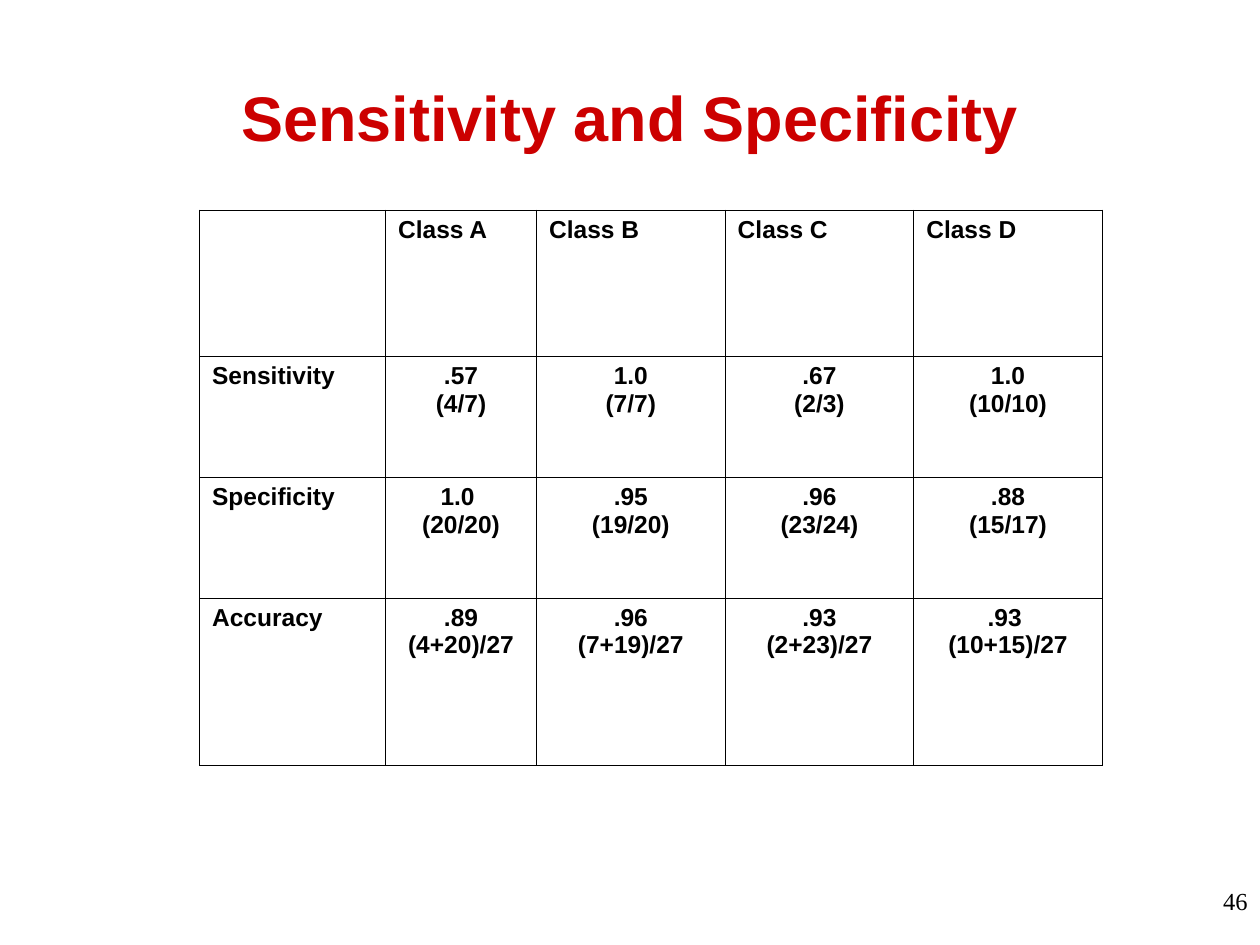
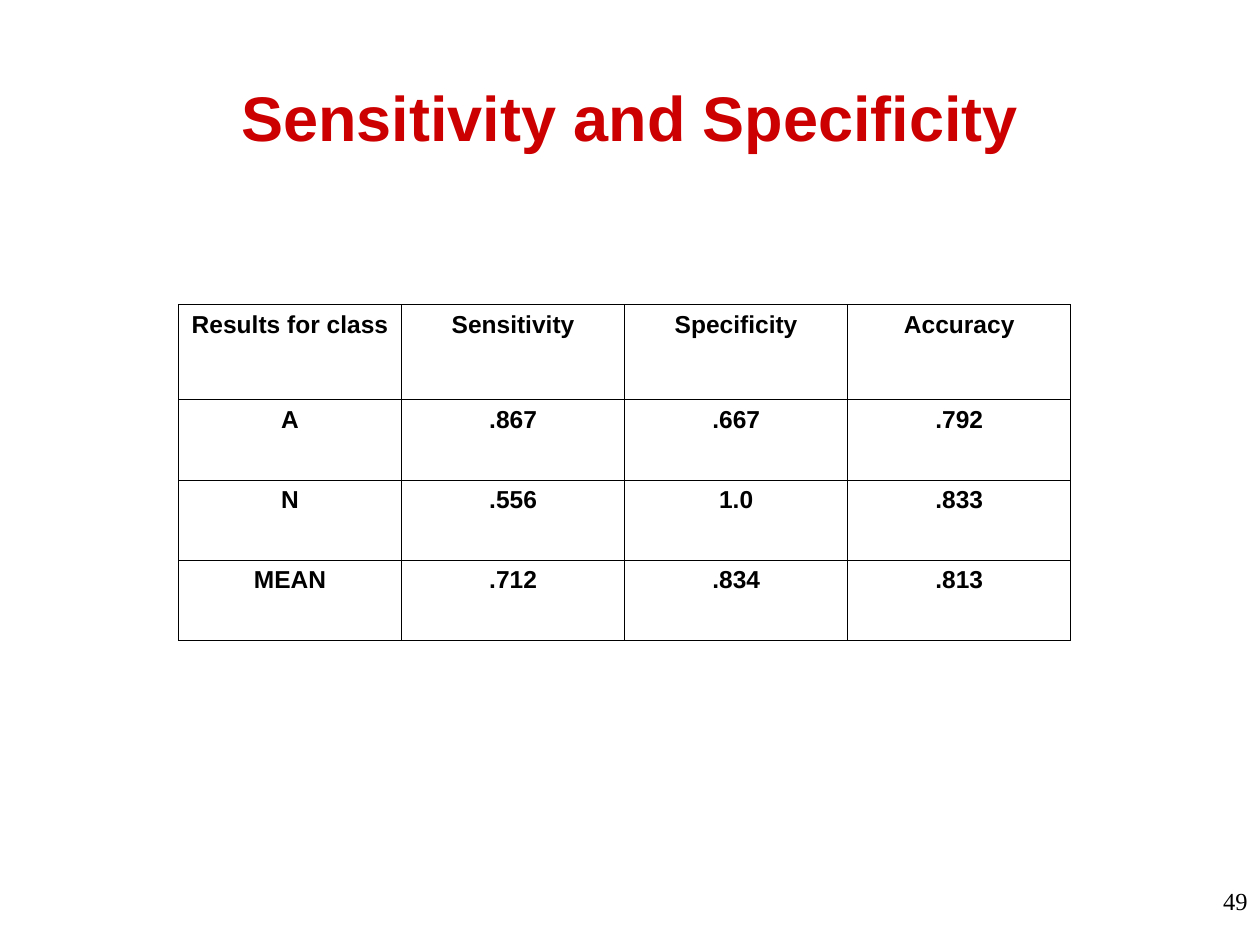
import pptx
import pptx.dml.color
import pptx.enum.text
import pptx.oxml
import pptx.oxml.ns
import pptx.util

Pt = pptx.util.Pt
ALIGN = pptx.enum.text.PP_ALIGN
ANCHOR = pptx.enum.text.MSO_ANCHOR

RED = "CC0000"
BLACK = "000000"
HEADING_FONT = "Arial"
NUMBER_FONT = "Times New Roman"
TABLE_SIZE = 14
BORDER_WIDTH = 0.45

CLASS_ROWS = [
    ["", "Class A", "Class B", "Class C", "Class D"],
    ["Sensitivity", ".57\n(4/7)", "1.0\n(7/7)", ".67\n(2/3)", "1.0\n(10/10)"],
    ["Specificity", "1.0 \n(20/20)", ".95\n(19/20)", ".96\n(23/24)", ".88\n(15/17)"],
    ["Accuracy", ".89 (4+20)/27", ".96\n(7+19)/27", ".93\n(2+23)/27", ".93 \n(10+15)/27"],
]
RESULT_ROWS = [
    ["Results for class", "Sensitivity", "Specificity", "Accuracy"],
    ["A", ".867", ".667", ".792"],
    ["N", ".556", "1.0", ".833"],
    ["MEAN", ".712", ".834", ".813"],
]


def rgb(hex_color):
    """Turn a hex string into a colour."""
    return pptx.dml.color.RGBColor.from_string(hex_color)


def write_text(text_frame, text, size, font_name, color, alignment, bold=False):
    """Fill a text frame and format all its paragraphs alike."""
    text_frame.text = text
    for paragraph in text_frame.paragraphs:
        paragraph.alignment = alignment
        for run in paragraph.runs:
            run.font.size = Pt(size)
            run.font.name = font_name
            run.font.bold = bold
            run.font.color.rgb = rgb(color)


def add_text(slide, left, top, width, height, anchor, text, *style, **options):
    """Add a wrapping text box with formatted text."""
    shape = slide.shapes.add_textbox(Pt(left), Pt(top), Pt(width), Pt(height))
    shape.text_frame.word_wrap = True
    shape.text_frame.vertical_anchor = anchor
    write_text(shape.text_frame, text, *style, **options)


def add_borders(cell):
    """Draw a thin line on all four sides of a cell."""
    properties = cell._tc.get_or_add_tcPr()
    for side in ("lnL", "lnR", "lnT", "lnB"):
        properties.append(pptx.oxml.parse_xml(
            f'<a:{side} {pptx.oxml.ns.nsdecls("a")} w="{Pt(BORDER_WIDTH)}">'
            f'<a:solidFill><a:srgbClr val="{BLACK}"/></a:solidFill></a:{side}>'))


def add_grid(slide, left, top, column_widths, row_heights, rows, label_alignment):
    """Add a bordered table whose header row and first column share an alignment."""
    table = slide.shapes.add_table(
        len(rows), len(column_widths), Pt(left), Pt(top),
        Pt(sum(column_widths)), Pt(sum(row_heights))).table
    table.first_row = table.horz_banding = False
    for column, width in zip(table.columns, column_widths):
        column.width = Pt(width)
    for row, height in zip(table.rows, row_heights):
        row.height = Pt(height)
    for row_index, row_texts in enumerate(rows):
        for column_index, text in enumerate(row_texts):
            cell = table.cell(row_index, column_index)
            is_label = row_index == 0 or column_index == 0
            alignment = label_alignment if is_label else ALIGN.CENTER
            add_borders(cell)
            cell.fill.background()
            write_text(cell.text_frame, text, TABLE_SIZE, HEADING_FONT, BLACK,
                       alignment, bold=True)


def add_titled_slide(presentation, title, number):
    """Add a blank slide with the shared title and slide number."""
    slide = presentation.slides.add_slide(presentation.slide_layouts[6])
    add_text(slide, 36, 21.6, 648, 90, ANCHOR.MIDDLE, title,
             36, HEADING_FONT, RED, ALIGN.CENTER, bold=True)
    add_text(slide, 552, 502.5, 168, 37.5, ANCHOR.TOP, number,
             14, NUMBER_FONT, BLACK, ALIGN.RIGHT)
    return slide


def main():
    """Build and save the presentation."""
    presentation = pptx.Presentation()
    presentation.slide_width, presentation.slide_height = Pt(720), Pt(540)

    slide = add_titled_slide(presentation, "Sensitivity and Specificity", "46")
    add_grid(slide, 114, 120, [106.3, 86.3] + [107.8] * 3, [83.5, 69.1, 69.1, 96],
             CLASS_ROWS, ALIGN.JUSTIFY)

    slide = add_titled_slide(presentation, "Sensitivity and Specificity", "49")
    add_grid(slide, 102, 174, [127.5] * 4, [54.4] + [45.85] * 3,
             RESULT_ROWS, ALIGN.CENTER)

    presentation.save("out.pptx")


if __name__ == "__main__":
    main()
